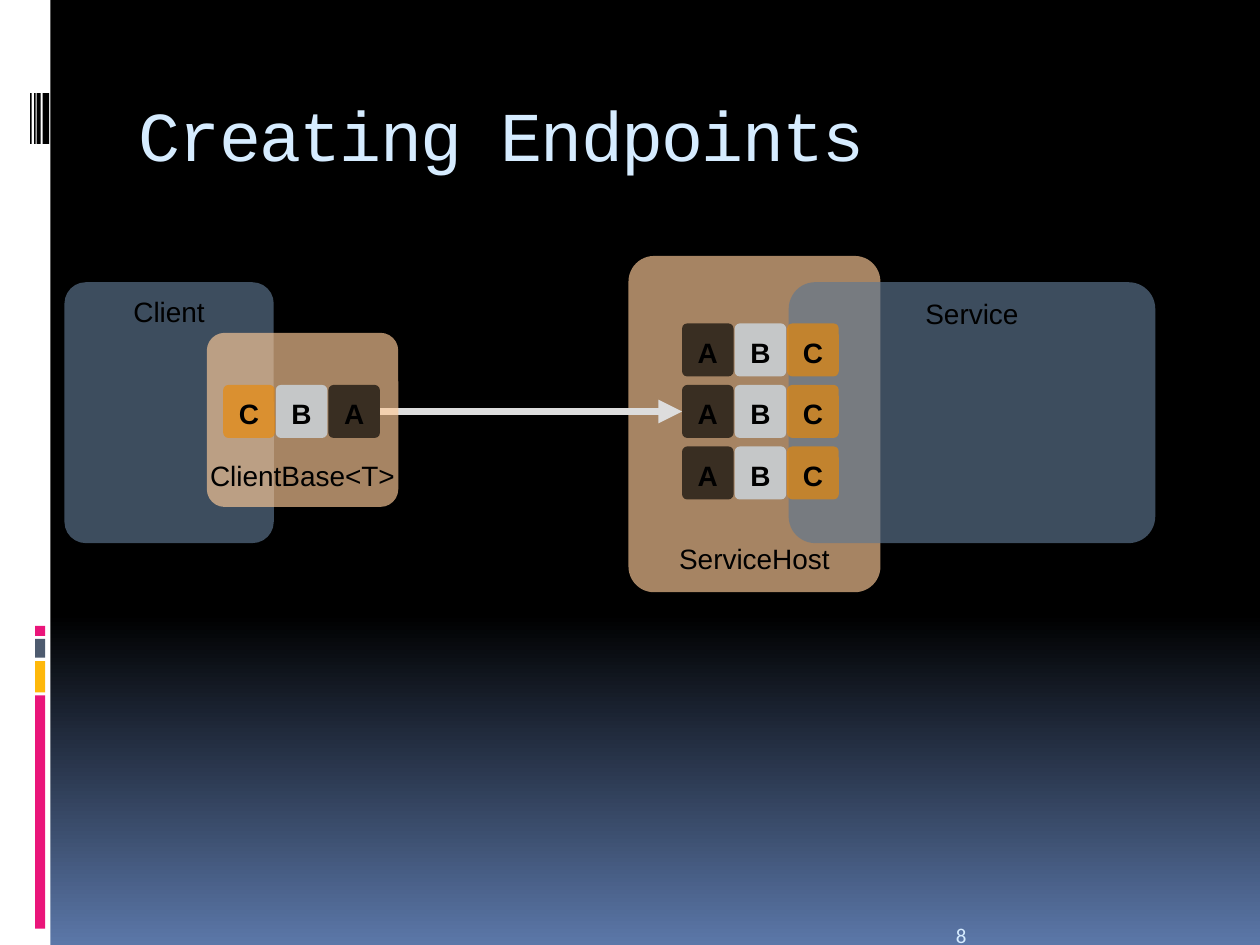
from lxml import etree
from pptx import Presentation
from pptx.dml.color import RGBColor
from pptx.enum.shapes import MSO_CONNECTOR, MSO_SHAPE
from pptx.enum.text import MSO_ANCHOR, PP_ALIGN
from pptx.oxml.ns import qn
from pptx.util import Cm, Pt

RECT, ROUND = MSO_SHAPE.RECTANGLE, MSO_SHAPE.ROUNDED_RECTANGLE
STRAIGHT = MSO_CONNECTOR.STRAIGHT
TOP, MIDDLE, BOTTOM = MSO_ANCHOR.TOP, MSO_ANCHOR.MIDDLE, MSO_ANCHOR.BOTTOM
LEFT, CENTER = PP_ALIGN.LEFT, PP_ALIGN.CENTER
rgb = RGBColor.from_string
LABEL = {"name": "Arial", "size": Pt(16), "bold": False}
LETTER = {"name": "Arial", "size": Pt(16), "bold": True}


def write(tf, text, fmt, color, anchor, align):
    tf.vertical_anchor = anchor
    p = tf.paragraphs[0]
    p.alignment = align
    r = p.add_run()
    r.text = text
    for key, value in fmt.items():
        setattr(r.font, key, value)
    r.font.color.rgb = rgb(color)
    return r


def add_box(shapes, kind, box, color, text="", fmt=LABEL, anchor=TOP):
    sp = shapes.add_shape(kind, *[Cm(v) for v in box])
    sp.shadow.inherit = False
    sp.fill.solid()
    sp.fill.fore_color.rgb = rgb(color)
    sp.line.fill.background()
    if text:
        # Labelled boxes are rounded and see-through
        sp.adjustments[0] = 0.102
        clr = sp.fill._xPr.find(".//" + qn("a:srgbClr"))
        etree.SubElement(clr, qn("a:alpha"), val="65000")
        sp.text_frame.word_wrap = False
        write(sp.text_frame, text, fmt, "000000", anchor, CENTER)
    return sp


prs = Presentation()
prs.slide_width, prs.slide_height = Cm(25.4), Cm(19.05)
s = prs.slides.add_slide(prs.slide_layouts[5])

# Background: black fading to blue at the bottom
fill = s.background.fill
fill.gradient()
fill.gradient_angle = 270
for stop, position, color in zip(fill.gradient_stops, (0.65, 1), ("000000", "5B77A8")):
    stop.position = position
    stop.color.rgb = rgb(color)

# Side strip with colour blocks and bars
for x, y, w, h, color in [
    (0, 0, 1.02, 19.05, "FFFFFF"),
    (0.71, 14.02, 0.2, 4.7, "EA157A"),
    (0.71, 13.33, 0.2, 0.63, "FEB80A"),
    (0.71, 12.88, 0.2, 0.38, "4E5B6F"),
    (0.71, 12.62, 0.2, 0.2, "EA157A"),
    (0.86, 1.88, 0.13, 1.02, "000000"),
    (0.74, 1.88, 0.08, 1.02, "000000"),
    (0.69, 1.88, 0.03, 1.02, "000000"),
    (0.61, 1.88, 0.03, 1.02, "000000"),
]:
    add_box(s.shapes, RECT, (x, y, w, h), color)

# Title
title = s.shapes.title
title.left, title.top, title.width, title.height = Cm(2.54), Cm(1.42), Cm(21.59), Cm(2.54)
r = write(title.text_frame, "Creating Endpoints",
          {"name": "Courier New", "size": Pt(40)}, "D6ECFF", MIDDLE, LEFT)
r.font._element.set("spc", "-100")

# Slide number
number = s.shapes.add_textbox(Cm(19.02), Cm(17.91), Cm(5.92), Cm(1.32))
number.text_frame.word_wrap = True
write(number.text_frame, "8", {"name": "Calibri", "size": Pt(12)}, "D6ECFF", BOTTOM, LEFT)

# Service host, with the call arrow in front of it
host = add_box(s.shapes, ROUND, (12.67, 5.16, 5.08, 6.78), "FFCC99", "ServiceHost", anchor=BOTTOM)
arrow = s.shapes.add_connector(STRAIGHT, Cm(7.7), Cm(8.3), Cm(13.75), Cm(8.3))
arrow.line.color.rgb = rgb("DDDDDD")
arrow.line.width = Pt(4.5)
etree.SubElement(arrow.line._get_or_add_ln(), qn("a:tailEnd"), type="triangle")
etree.SubElement(arrow._element.spPr, qn("a:effectLst"))

# Client, service and client proxy
add_box(s.shapes, ROUND, (1.3, 5.69, 4.22, 5.26), "5F7791", "Client")
add_box(s.shapes, ROUND, (15.9, 5.69, 7.39, 5.26), "5F7791", "Service")
proxy = add_box(s.shapes, ROUND, (4.17, 6.71, 3.86, 3.51), "FFCC99", "ClientBase<T>", anchor=BOTTOM)
for sp in (host, proxy):
    sp.text_frame.margin_bottom = Cm(0.2)

# Endpoints: one row of address, binding and contract tiles each
TILE_COLORS = {"A": "000000", "B": "D6ECFF", "C": "EB8803"}
MID_Y, ROW_STEP, TILE_STEP = 7.76, 1.24, 1.06
rows = [("CBA", 4.5, MID_Y)]
rows += [("ABC", 13.75, MID_Y + i * ROW_STEP) for i in (0, 1, -1)]
address_tiles = []
for letters, x, y in rows:
    group = s.shapes.add_group_shape()
    for i, letter in enumerate(letters):
        sp = add_box(group.shapes, ROUND, (x + i * TILE_STEP, y, 1.04, 1.07),
                     TILE_COLORS[letter], letter, LETTER, BOTTOM)
        if letter == "A":
            address_tiles.append(sp)

# The arrow joins the client address to the middle service address
arrow.begin_connect(address_tiles[0], 3)
arrow.end_connect(address_tiles[1], 1)

prs.save("out.pptx")
